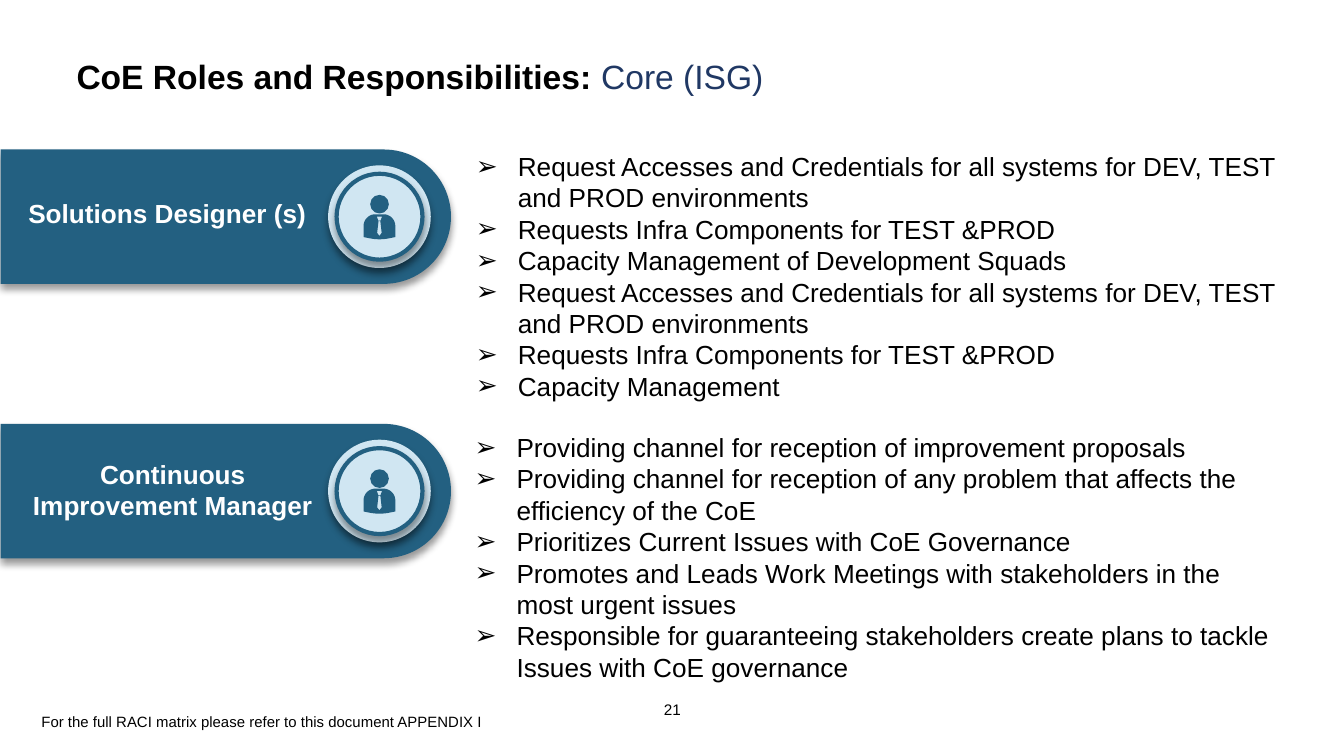
from math import cos, pi, sin

from lxml import etree
from pptx import Presentation
from pptx.dml.color import RGBColor
from pptx.enum import shapes, text
from pptx.oxml import ns
from pptx.util import Pt

# Content
TITLE = [("CoE Roles and Responsibilities: ", "000000", True), ("Core (ISG)", "203864", False)]
ROLES = [
    {
        "name": "Solutions Designer (s)",
        "centre_y": 116.1,
        "label": (6.5, 102.2, 166.3, 24.5),
        "list": (247.7, 77, 447.8, 143.3),
        "duties": [
            "Request Accesses and Credentials for all systems for DEV, TEST and PROD environments",
            "Requests Infra Components for TEST &PROD",
            "Capacity Management of Development Squads",
            "Request Accesses and Credentials for all systems for DEV, TEST and PROD environments",
            "Requests Infra Components for TEST &PROD",
            "Capacity Management",
        ],
    },
    {
        "name": "Continuous Improvement Manager",
        "centre_y": 263.1,
        "label": (5.8, 241.9, 173.5, 41),
        "list": (247, 227.5, 447.8, 143.3),
        "duties": [
            "Providing channel for reception of improvement proposals",
            "Providing channel for reception of any problem that affects the efficiency of the CoE",
            "Prioritizes Current Issues with CoE Governance",
            "Promotes and Leads Work Meetings with stakeholders in the most urgent issues",
            "Responsible for guaranteeing stakeholders create plans to tackle Issues with CoE governance",
        ],
    },
]
FOOTNOTE = "For the full RACI matrix please refer to this document APPENDIX I"
PAGE_NUMBER = "21"

BLUE, PALE, BLACK, WHITE = "236081", "D0E6F2", "000000", "FFFFFF"
BADGE_X = 203.3  # centre of the badges


def colour(hex_string):
    return RGBColor.from_string(hex_string)


def place(shape, left, top, width, height):
    shape.left, shape.top, shape.width, shape.height = map(Pt, (left, top, width, height))


def format_run(run, size, hex_string, bold=False):
    run.font.name, run.font.size, run.font.bold = "Arial", Pt(size), bold
    run.font.color.rgb = colour(hex_string)


def add_text(parent, box, words, size, hex_string, bold=False, align=text.PP_ALIGN.LEFT):
    frame = parent.add_textbox(*map(Pt, box)).text_frame
    frame.word_wrap = True
    frame.text = words
    frame.paragraphs[0].alignment = align
    format_run(frame.paragraphs[0].runs[0], size, hex_string, bold)
    return frame


def paint(shape, fill, line=None):
    shape.shadow.inherit = False
    shape.fill.solid()
    shape.fill.fore_color.rgb = colour(fill)
    if line:
        shape.line.color.rgb = colour(line)
        shape.line.width = Pt(2.25)
    else:
        shape.line.fill.background()


def add_shadow(shape):
    effects = shape._element.spPr.find(ns.qn("a:effectLst"))
    shadow = etree.SubElement(effects, ns.qn("a:outerShdw"), blurRad=str(Pt(4)), dist=str(Pt(3)),
                              dir="5400000", algn="t", rotWithShape="0")
    tint = etree.SubElement(shadow, ns.qn("a:srgbClr"), val=BLACK)
    etree.SubElement(tint, ns.qn("a:alpha"), val="40000")


def add_circle(parent, centre_y, diameter, fill, line=None):
    corner = (BADGE_X - diameter / 2, centre_y - diameter / 2, diameter, diameter)
    circle = parent.add_shape(shapes.MSO_SHAPE.OVAL, *map(Pt, corner))
    paint(circle, fill, line)
    return circle


def add_torso(parent, top):
    """Shoulders with a rounded top and a bowed hem; the tie is cut out."""
    half, radius, hem, bow = 8.5, 6.3, 12.2, 1.2
    steps = [i / 12 for i in range(13)]
    right = [(half - radius + radius * sin(t * pi / 2), radius - radius * cos(t * pi / 2)) for t in steps]
    left = [(-x, y) for x, y in reversed(right)]
    bottom = [(half * (1 - 2 * t), hem + bow * sin(t * pi)) for t in steps]
    knot = [(-1.4, 1.2), (1.4, 1.2), (0.6, 3.4), (-0.6, 3.4)]
    tie = [(-0.5, 3.7), (0.5, 3.7), (1.2, 10), (0, 11.6), (-1.2, 10)]
    contours = [[(Pt(BADGE_X + x), Pt(top + y)) for x, y in points]
                for points in (left + right + bottom, knot, tie)]
    builder = parent.build_freeform(*contours[0][0], scale=1.0)
    builder.add_line_segments(contours[0][1:])
    for contour in contours[1:]:
        builder.move_to(*contour[0])
        builder.add_line_segments(contour[1:])
    paint(builder.convert_to_shape(), BLUE)


def add_role(slide, role):
    parent, middle = slide.shapes.add_group_shape().shapes, role["centre_y"]
    # Banner, drawn upright and turned a quarter
    width, length = 72, 241.2
    bar = parent.add_shape(shapes.MSO_SHAPE.ROUND_2_SAME_RECTANGLE, Pt(length / 2 + 0.4 - width / 2),
                           Pt(middle - length / 2), Pt(width), Pt(length))
    bar.adjustments[0], bar.adjustments[1] = 0.5, 0
    bar.rotation = 90
    paint(bar, BLUE)
    add_shadow(bar)
    # Badge with a person
    add_shadow(add_circle(parent, middle, 55, PALE))
    add_shadow(add_circle(parent, middle, 46, PALE, BLUE))
    add_circle(parent, middle - 6.7, 10, BLUE)
    add_torso(parent, middle - 1.3)
    add_text(parent, role["label"], role["name"], 14, WHITE, True, text.PP_ALIGN.CENTER)


def fill_list(placeholder, role):
    place(placeholder, *role["list"])
    frame = placeholder.text_frame
    frame.text = "\n".join(role["duties"])
    frame.auto_size = text.MSO_AUTO_SIZE.NONE
    for paragraph in frame.paragraphs:
        paragraph.space_before = Pt(0)
        format_run(paragraph.runs[0], 14, BLACK)
        properties = paragraph._p.get_or_add_pPr()
        properties.set("marL", str(Pt(22.5)))
        properties.set("indent", str(Pt(-22.5)))
        bullet_colour = etree.SubElement(properties, ns.qn("a:buClr"))
        etree.SubElement(bullet_colour, ns.qn("a:srgbClr"), val=BLACK)
        etree.SubElement(properties, ns.qn("a:buFont"), typeface="Arial")
        etree.SubElement(properties, ns.qn("a:buChar"), char="➢")


def main():
    presentation = Presentation()
    presentation.slide_width, presentation.slide_height = Pt(720), Pt(405)
    slide = presentation.slides.add_slide(presentation.slide_layouts.get_by_name("Two Content"))

    # Title
    title, *lists = slide.placeholders
    place(title, 33.8, 23, 650.2, 36)
    title.text_frame.auto_size = text.MSO_AUTO_SIZE.NONE
    paragraph = title.text_frame.paragraphs[0]
    paragraph.alignment = text.PP_ALIGN.LEFT
    for words, hex_string, bold in TITLE:
        run = paragraph.add_run()
        run.text = words
        format_run(run, 18, hex_string, bold)

    # Roles and their duties
    for role, placeholder in zip(ROLES, lists):
        add_role(slide, role)
        fill_list(placeholder, role)

    # Footnote and page number
    add_text(slide.shapes, (15.1, 378, 278.6, 17.3), FOOTNOTE, 8, BLACK)
    number = add_text(slide.shapes, (355.7, 375.1, 14.4, 10.1), PAGE_NUMBER, 8.2, BLACK)
    number.margin_left = number.margin_right = number.margin_top = number.margin_bottom = 0
    number.word_wrap = False

    presentation.save("out.pptx")


if __name__ == "__main__":
    main()
